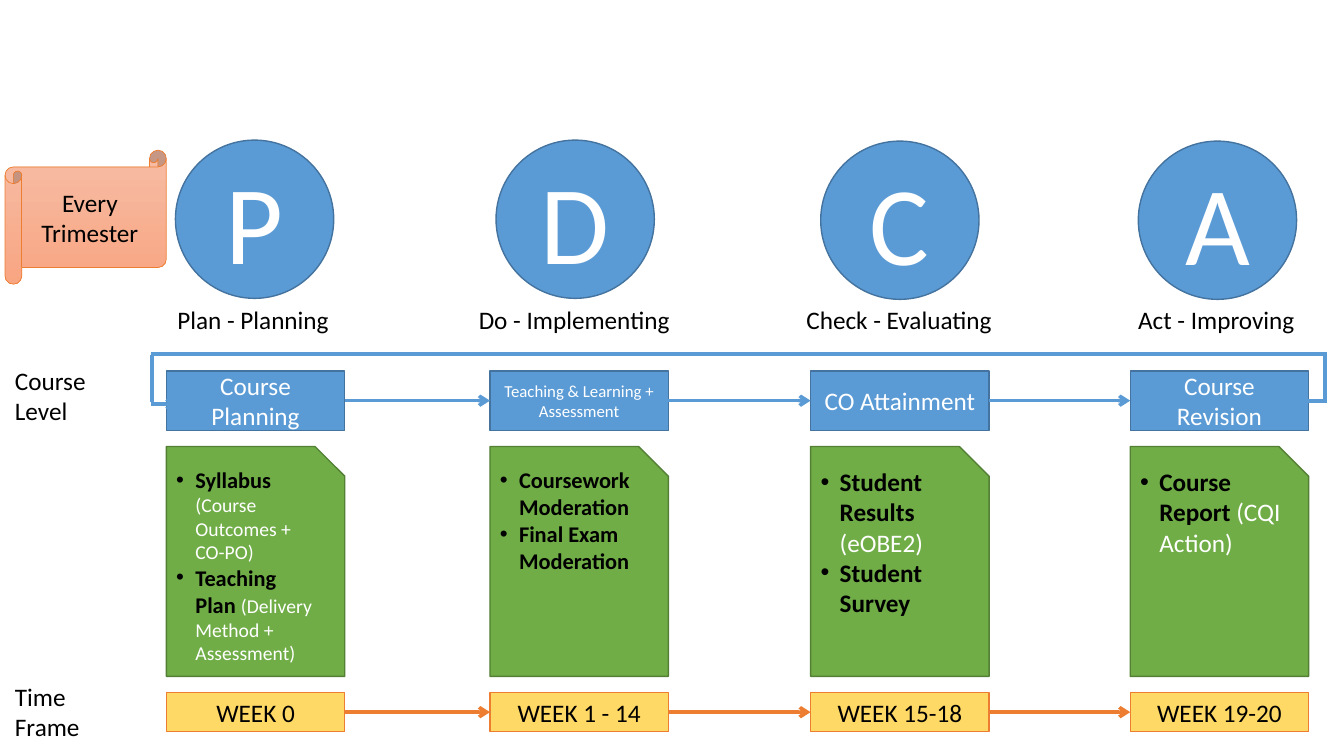
from lxml import etree
from pptx import Presentation
from pptx import util as u
from pptx.dml.color import RGBColor
from pptx.enum import shapes, text
from pptx.oxml.ns import qn

hue = RGBColor.from_string
Kind = shapes.MSO_SHAPE
BLUE, NAVY, GREEN, MOSS = "5B9BD5", "43739E", "70AD47", "538035"
GOLD, RUST, BLACK, WHITE = "FFD966", "ED7D31", "000000", "FFFFFF"
MID, TOP = text.MSO_ANCHOR.MIDDLE, text.MSO_ANCHOR.TOP

deck = Presentation()
deck.slide_width, deck.slide_height = u.Inches(13.33), u.Inches(7.5)
slide = deck.slides.add_slide(deck.slide_layouts[6])


def block(home, kind, at, paras, fill=None, edge=None, width=1, **frame):
    """Add a shape (a text box if kind is None); a run is (words, size, colour, bold)."""
    spot = [u.Inches(n) for n in at]
    if kind is None:
        item = home.add_textbox(*spot)
    else:
        item = home.add_shape(kind, *spot)
        item.shadow.inherit = False
        item.line.color.rgb, item.line.width = hue(edge), u.Pt(width)
        if fill:
            item.fill.solid()
            item.fill.fore_color.rgb = hue(fill)
    body = item.text_frame
    for name, value in {"word_wrap": True, **frame}.items():
        setattr(body, name, value)
    for i, runs in enumerate(paras):
        para = body.add_paragraph() if i else body.paragraphs[0]
        centred = kind not in (None, Kind.SNIP_1_RECTANGLE)
        para.alignment = text.PP_ALIGN.CENTER if centred else text.PP_ALIGN.LEFT
        for words, size, tint, bold in runs:
            run = para.add_run()
            run.text = words
            run.font.color.rgb = hue(tint)
            style = {"name": "Calibri", "size": u.Pt(size), "bold": bold}
            for name, value in style.items():
                setattr(run.font, name, value)
    return item


def wire(ends, tint, arrow=False):
    """Add a straight line, with an open arrowhead at its end if asked."""
    line = slide.shapes.add_connector(
        shapes.MSO_CONNECTOR.STRAIGHT, *[u.Inches(n) for n in ends])
    line.line.color.rgb, line.line.width = hue(tint), u.Pt(2.5)
    if arrow:
        etree.SubElement(line.line._get_or_add_ln(), qn("a:tailEnd"), type="arrow")
    etree.SubElement(line._element.spPr, qn("a:effectLst"))
    return line


# Columns: left edge, letter, circle left and top, label, label left and width,
# step, step size, week, tasks
stages = [
    (1.65, "P", 1.74, 1.39, "Plan - Planning", 1.66, 1.72,
     "Course Planning", 18, "WEEK 0",
     [[("Syllabus ", 16, BLACK, True),
       ("(Course Outcomes + CO-PO)", 14, WHITE, False)],
      [("Teaching Plan ", 16, BLACK, True),
       ("(Delivery Method + Assessment)", 14, WHITE, False)]]),
    (4.86, "D", 4.92, 1.39, "Do - Implementing", 4.65, 2.12,
     "Teaching & Learning + Assessment", 12, "WEEK 1 - 14",
     [[("Coursework Moderation", 16, BLACK, True)],
      [("Final Exam Moderation", 16, BLACK, True)]]),
    (8.04, "C", 8.14, 1.4, "Check - Evaluating", 7.9, 2.06,
     "CO Attainment", 18, "WEEK 15-18",
     [[("Student Results ", 18, BLACK, True), ("(eOBE2)", 18, WHITE, False)],
      [("Student Survey", 18, BLACK, True)]]),
    (11.21, "A", 11.29, 1.4, "Act - Improving", 11.19, 1.77,
     "Course Revision", 18, "WEEK 19-20",
     [[("Course Report ", 18, BLACK, True),
       ("(CQI Action)", 18, WHITE, False)]]),
]
WIDE, ROUND = 1.77, 1.57
FIT = text.MSO_AUTO_SIZE.SHAPE_TO_FIT_TEXT

# Row names
for words, y in (("Course Level", 3.57), ("Time Frame", 6.71)):
    block(slide.shapes, None, (0.05, y, 1.07, 0.71),
          [[(words, 18, BLACK, False)]], auto_size=FIT)

# Stage columns
steps, weeks = [], []
for x, sign, cx, cy, name, nx, nw, step, size, week, tasks in stages:
    steps.append(block(slide.shapes, Kind.RECTANGLE, (x, 3.68, WIDE, 0.59),
                       [[(step, size, WHITE, False)]], BLUE, NAVY,
                       vertical_anchor=MID))
    card = block(slide.shapes, Kind.SNIP_1_RECTANGLE, (x, 4.43, WIDE, 2.28),
                 tasks, GREEN, MOSS, vertical_anchor=TOP)
    for para in card.text_frame.paragraphs:
        props = para._p.get_or_add_pPr()
        props.set("marL", str(u.Inches(0.19)))
        props.set("indent", str(-u.Inches(0.19)))
        etree.SubElement(props, qn("a:buFont"), typeface="Arial")
        etree.SubElement(props, qn("a:buChar"), char="•")
    weeks.append(block(slide.shapes, Kind.RECTANGLE, (x, 6.87, WIDE, 0.39),
                       [[(week, 18, BLACK, False)]], GOLD, RUST,
                       vertical_anchor=MID))
    group = slide.shapes.add_group_shape().shapes
    block(group, Kind.OVAL, (cx, cy, ROUND, ROUND),
          [[(sign, 80, WHITE, False)]], BLUE, NAVY, vertical_anchor=MID)
    block(group, None, (nx, 2.97, nw, 0.4), [[(name, 18, BLACK, False)]],
          word_wrap=False, auto_size=FIT)

# Arrows from stage to stage
for row, tint in ((steps, BLUE), (weeks, RUST)):
    for left, right in zip(row, row[1:]):
        link = wire((0, 0, 1, 1), tint, True)
        link.begin_connect(left, 3)
        link.end_connect(right, 1)

# Loop from the last step back to the first
for ends in ((12.96, 3.98, 13.16, 3.98), (13.14, 3.5, 13.14, 3.97),
             (1.5, 3.51, 13.16, 3.51), (1.51, 3.52, 1.51, 3.99)):
    wire(ends, BLUE)
wire((1.5, 4.01, 1.76, 4.01), BLUE, True)

# Scroll
scroll = block(slide.shapes, Kind.HORIZONTAL_SCROLL, (0.05, 1.49, 1.6, 1.33),
               [[("Every Trimester", 18, BLACK, False)]], edge=RUST, width=0.5,
               vertical_anchor=MID)
scroll.fill.gradient()
scroll.fill.gradient_angle = 270
for stop, tint in zip(scroll.fill.gradient_stops, ("F7BDA5", "F8A582")):
    stop.color.rgb = hue(tint)

deck.save("out.pptx")
